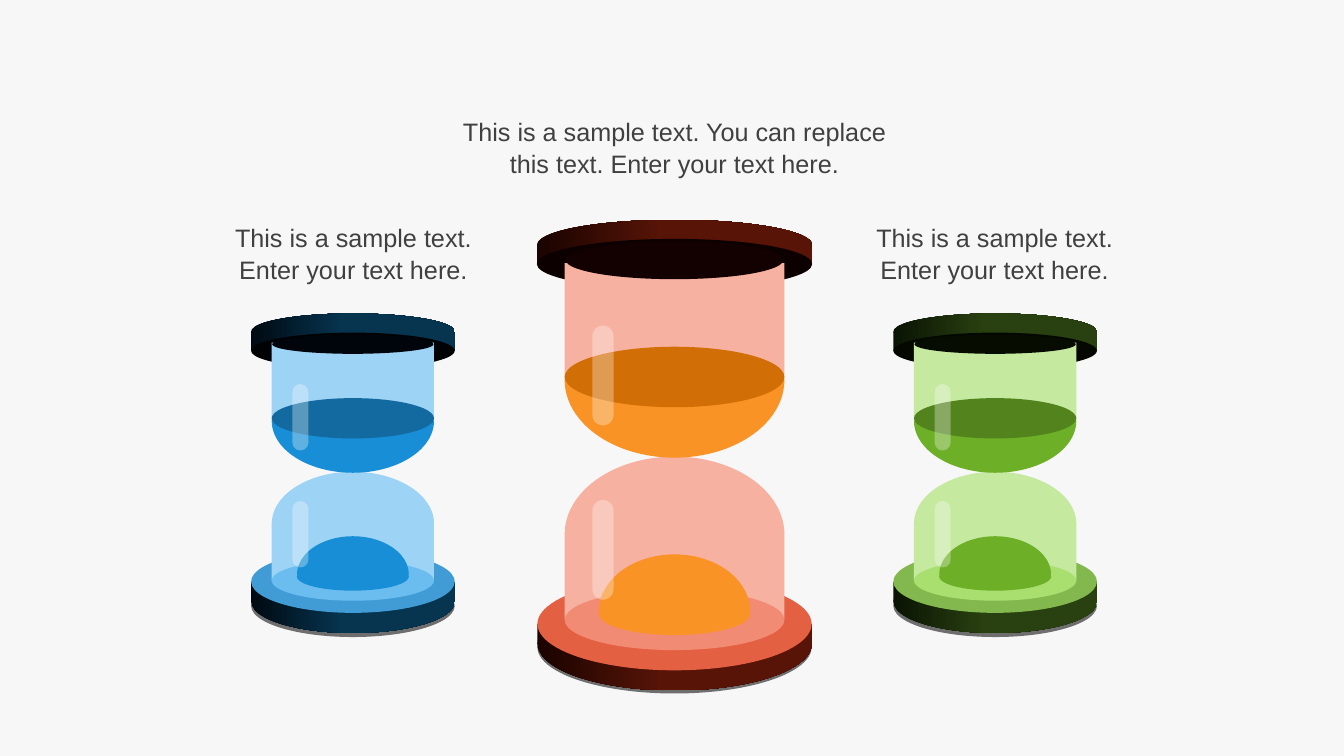
from pptx import Presentation
from pptx.dml.color import RGBColor
from pptx.enum.shapes import MSO_SHAPE
from pptx.enum.text import MSO_AUTO_SIZE, PP_ALIGN
from pptx.oxml.ns import qn
from pptx.util import Inches, Pt
from lxml import etree

ELLIPSE, RECT = MSO_SHAPE.OVAL, MSO_SHAPE.RECTANGLE
PIE, PILL = MSO_SHAPE.PIE, MSO_SHAPE.ROUNDED_RECTANGLE
DOME, BOWL = 90, 270  # turns that make a left half-disc face up or down

BACKGROUND, TEXT_COLOUR = "F7F7F7", "404040"
SHADOW, GLINT, GLINT_ALPHA = "6E6E6E", "FFFFFF", 31

CAPTIONS = [
    ("This is a sample text. You can replace this text. Enter your text here.",
     (4.42, 1.09, 4.54, 0.71)),
    ("This is a sample text. Enter your text here.", (8.35, 2.14, 3.03, 0.71)),
    ("This is a sample text. Enter your text here.", (1.99, 2.14, 3.03, 0.71)),
]

RED = dict(rim=("1A0300", "571407"), under="0C0000", hole="120100", base="E46042",
           glass="F7B1A1", floor="F28B73", sand="F99325", surface="D16F06")
BLUE = dict(rim=("000A12", "07344F"), under="000204", hole="00050C", base="419CD6",
            glass="9DD3F4", floor="6CBDEF", sand="188ED6", surface="126AA0")
GREEN = dict(rim=("0A1404", "294010"), under="040800", hole="060C00", base="82B84E",
             glass="C5E99E", floor="A8DF6E", sand="6DAF27", surface="52831D")

# (centre x, size, colours)
HOURGLASSES = [(6.69, "large", RED), (3.5, "small", BLUE), (9.87, "small", GREEN)]

# (shape, turn, colour, {size: (top, width, height)}), from back to front
PARTS = [
    (ELLIPSE, 0, "rim", dict(large=(2.18, 2.73, 0.5), small=(3.11, 2.02, 0.36))),
    (RECT, 0, "rim", dict(large=(2.43, 2.73, 0.19), small=(3.29, 2.02, 0.19))),
    (ELLIPSE, 0, "under", dict(large=(2.37, 2.73, 0.5), small=(3.3, 2.02, 0.36))),
    (RECT, 0, "glass", dict(large=(2.61, 2.18, 1.17), small=(3.4, 1.61, 0.78))),
    (ELLIPSE, 0, "shadow", dict(large=(5.96, 2.72, 0.92), small=(5.7, 2.02, 0.62))),
    (ELLIPSE, 0, "rim", dict(large=(5.93, 2.72, 0.92), small=(5.66, 2.02, 0.62))),
    (RECT, 0, "rim", dict(large=(6.19, 2.72, 0.2), small=(5.77, 2.02, 0.2))),
    (ELLIPSE, 0, "base", dict(large=(5.73, 2.72, 0.92), small=(5.46, 2.02, 0.62))),
    (RECT, 0, "glass", dict(large=(5.29, 2.18, 0.85), small=(5.19, 1.61, 0.57))),
    (PIE, DOME, "glass", dict(large=(4.53, 2.18, 1.54), small=(4.68, 1.61, 1.03))),
    (ELLIPSE, 0, "floor", dict(large=(5.85, 2.18, 0.6), small=(5.56, 1.61, 0.4))),
    (ELLIPSE, 0, "sand", dict(large=(5.88, 1.5, 0.42), small=(5.58, 1.11, 0.28))),
    (PIE, DOME, "sand", dict(large=(5.5, 1.5, 1.13), small=(5.32, 1.11, 0.76))),
    (PIE, BOWL, "sand", dict(large=(3, 2.18, 1.54), small=(3.66, 1.61, 1.03))),
    (ELLIPSE, 0, "surface", dict(large=(3.44, 2.18, 0.6), small=(3.95, 1.61, 0.4))),
    (PILL, 0, "glint", dict(large=(3.23, 0.21, 0.99), small=(3.81, 0.16, 0.66))),
    (PILL, 0, "glint", dict(large=(4.96, 0.21, 0.99), small=(4.97, 0.16, 0.66))),
    (ELLIPSE, 0, "hole", dict(large=(2.39, 2.16, 0.38), small=(3.32, 1.6, 0.19))),
]
GLINT_SHIFT = dict(large=-0.71, small=-0.52)


def rgb(colour):
    return RGBColor.from_string(colour)


def paint(shape, colour):
    """Fill with one colour, or shade from the left when given a pair."""
    if isinstance(colour, tuple):
        shape.fill.gradient()
        shape.fill.gradient_angle = 0
        for stop, position, shade in zip(shape.fill.gradient_stops, (0, 0.45), colour):
            stop.position = position
            stop.color.rgb = rgb(shade)
    else:
        shape.fill.solid()
        shape.fill.fore_color.rgb = rgb(colour)


def set_alpha(shape, percent):
    colour = shape._element.spPr.find(qn("a:solidFill"))[0]
    etree.SubElement(colour, qn("a:alpha"), val=str(percent * 1000))


def add_part(group, kind, turn, colour, centre, top, width, height):
    middle = top + height / 2
    if turn:  # the unturned box has its sides swapped
        width, height = height, width
    sp = group.shapes.add_shape(kind, Inches(centre - width / 2), Inches(middle - height / 2),
                                Inches(width), Inches(height))
    sp.rotation = turn
    sp.shadow.inherit = False
    sp.line.fill.background()
    if kind == PIE:
        sp.adjustments[0], sp.adjustments[1] = 54, 162
    elif kind == PILL:
        sp.adjustments[0] = 0.5
    paint(sp, colour)
    return sp


def add_hourglass(s, centre, size, colours):
    group = s.shapes.add_group_shape()
    colours = dict(colours, shadow=SHADOW, glint=GLINT)
    for kind, turn, role, boxes in PARTS:
        shift = GLINT_SHIFT[size] if role == "glint" else 0
        sp = add_part(group, kind, turn, colours[role], centre + shift, *boxes[size])
        if role == "glint":
            set_alpha(sp, GLINT_ALPHA)


def add_caption(s, text, box):
    tf = s.shapes.add_textbox(*map(Inches, box)).text_frame
    tf.word_wrap = True
    tf.auto_size = MSO_AUTO_SIZE.SHAPE_TO_FIT_TEXT
    p = tf.paragraphs[0]
    p.alignment = PP_ALIGN.CENTER
    p.line_spacing = 1.05
    r = p.add_run()
    r.text = text
    for name, value in dict(name="Arial", size=Pt(18)).items():
        setattr(r.font, name, value)
    r.font.color.rgb = rgb(TEXT_COLOUR)


def main():
    prs = Presentation()
    prs.slide_width, prs.slide_height = Inches(13.33), Inches(7.5)
    s = prs.slides.add_slide(prs.slide_layouts[6])
    s.background.fill.solid()
    s.background.fill.fore_color.rgb = rgb(BACKGROUND)
    for hourglass in HOURGLASSES:
        add_hourglass(s, *hourglass)
    for caption in CAPTIONS:
        add_caption(s, *caption)
    prs.save("out.pptx")


if __name__ == "__main__":
    main()
